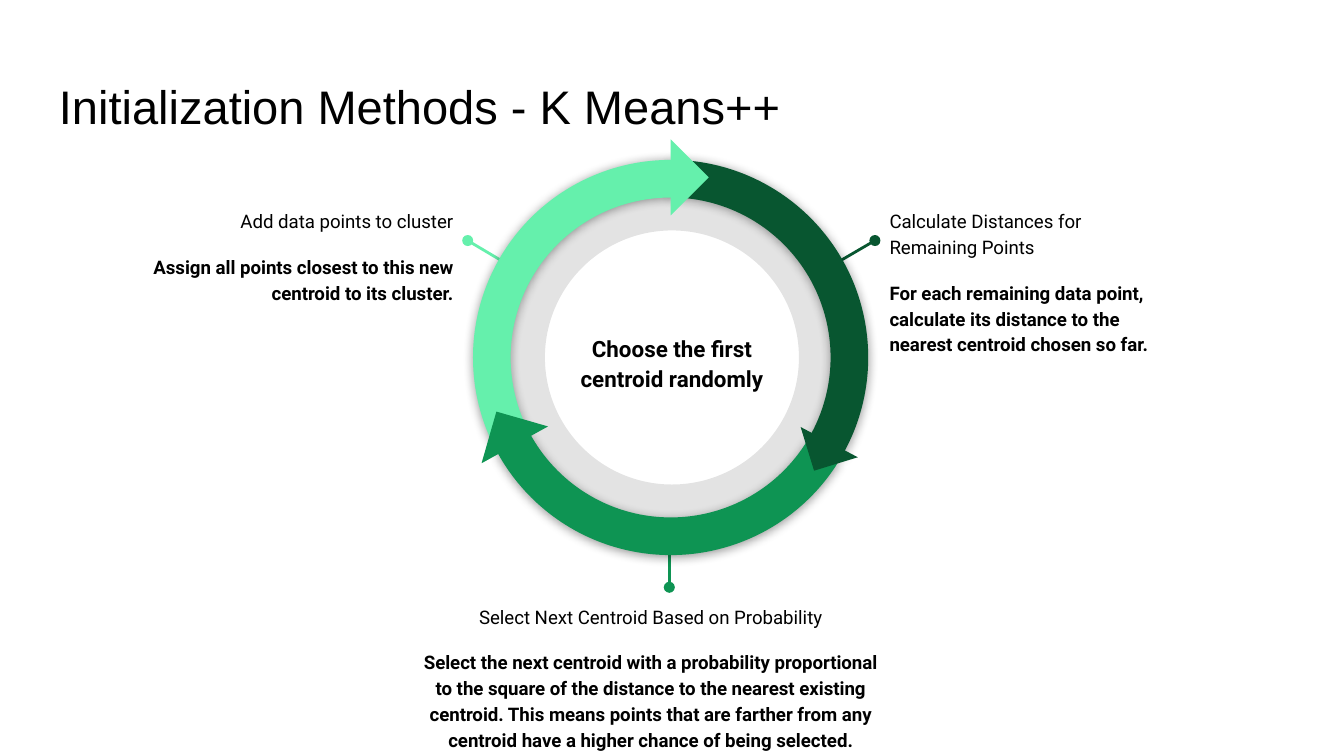
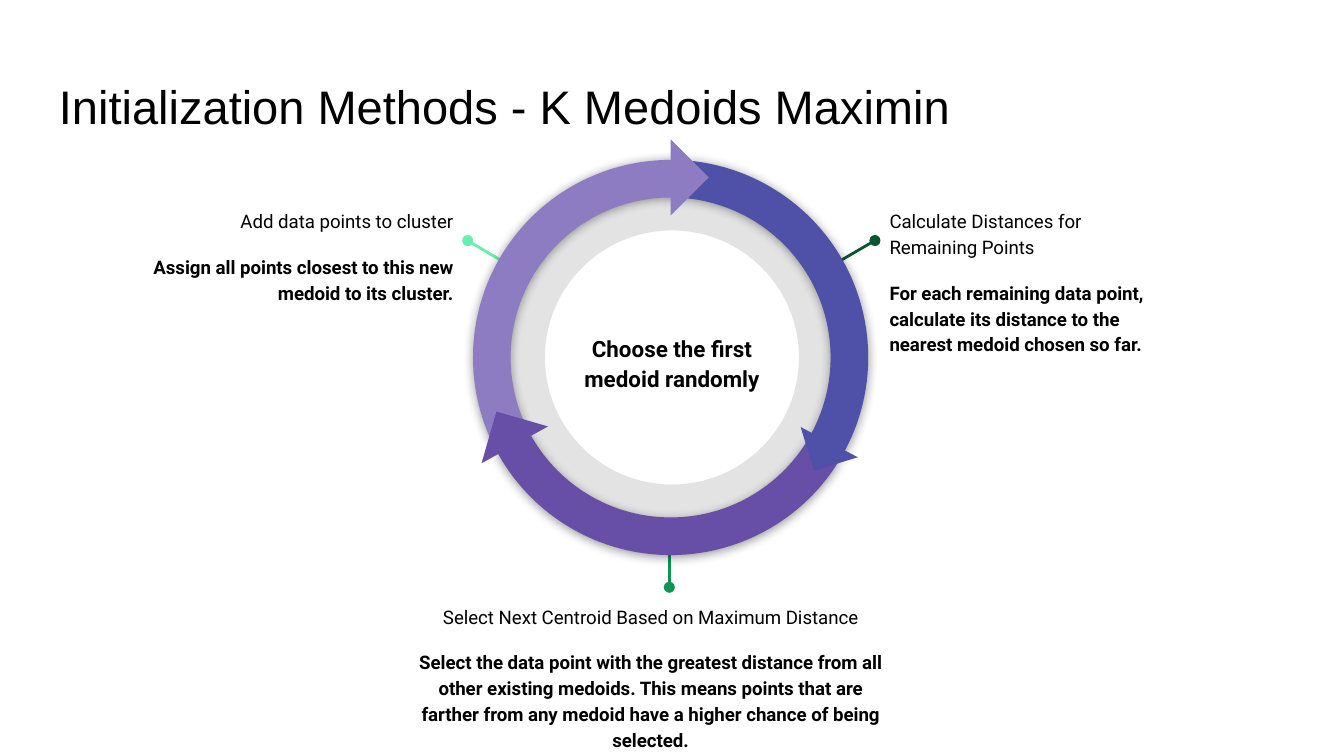
from lxml import etree
from pptx import Presentation
from pptx.dml.color import RGBColor
from pptx.enum.shapes import MSO_CONNECTOR, MSO_SHAPE
from pptx.enum.text import MSO_ANCHOR, PP_ALIGN
from pptx.oxml import parse_xml
from pptx.oxml.ns import nsdecls, qn
from pptx.util import Pt

PX = 9144  # 100 px to the inch

COLORS = {
    "text": "000000",
    "dark_green": "085630", "mid_green": "0E9453", "light_green": "65F0AC",
    "blue": "4E51A7", "purple": "674EA7", "lilac": "8E7CC3",
}
BAND, RING = 28, 294
SHADOW = (f'<a:outerShdw {nsdecls("a")} blurRad="71120" dist="10160" dir="5400000" '
          'algn="bl" rotWithShape="0"><a:srgbClr val="000000">'
          '<a:alpha val="40000"/></a:srgbClr></a:outerShdw>')

# Callouts: line start, line end, line colour, text box, alignment
CALLOUTS = [
    ((348, 179), (395, 207), "light_green", (98, 144, 249, 73), PP_ALIGN.RIGHT),
    ((651, 179), (603, 207), "dark_green", (652, 144, 212, 73), PP_ALIGN.LEFT),
    ((498, 437), (498, 387), "mid_green", (298, 438, 372, 73), PP_ALIGN.CENTER),
]

# Ring parts from back to front: step, preset, box, rotation, flipped, arc angles
RING_BOX = (352, 119, RING, RING)
RING_PARTS = [
    (1, MSO_SHAPE.BLOCK_ARC, RING_BOX, 30, False, (144.14, 0.01)),
    (0, MSO_SHAPE.BLOCK_ARC, RING_BOX, 330, True, (143.49, 214.73)),
    (0, MSO_SHAPE.RIGHT_TRIANGLE, (479, 112, 40, 40), 225, False, ()),
    (2, MSO_SHAPE.BLOCK_ARC, RING_BOX, 210, True, (143.16, 215.03)),
    (1, MSO_SHAPE.RIGHT_TRIANGLE, (600, 312, 34, 34), 342.9, False, ()),
    (2, MSO_SHAPE.RIGHT_TRIANGLE, (363, 311, 40, 40), 106, False, ()),
]

# Steps run in the order of CALLOUTS
SLIDES = [
    {
        "title": "Initialization Methods - K Means++",
        "start": "Choose the first centroid randomly",
        "ring": ["light_green", "dark_green", "mid_green"],
        "steps": [
            ("Add data points to cluster",
             "Assign all points closest to this new centroid to its cluster."),
            ("Calculate Distances for Remaining Points",
             "For each remaining data point, calculate its distance to the nearest "
             "centroid chosen so far."),
            ("Select Next Centroid Based on Probability",
             "Select the next centroid with a probability proportional to the square of "
             "the distance to the nearest existing centroid. This means points that are "
             "farther from any centroid have a higher chance of being selected."),
        ],
    },
    {
        "title": "Initialization Methods - K Medoids Maximin",
        "start": "Choose the first medoid randomly",
        "ring": ["lilac", "blue", "purple"],
        "steps": [
            ("Add data points to cluster",
             "Assign all points closest to this new medoid to its cluster."),
            ("Calculate Distances for Remaining Points",
             "For each remaining data point, calculate its distance to the nearest "
             "medoid chosen so far."),
            ("Select Next Centroid Based on Maximum Distance",
             "Select the data point with the greatest distance from all other existing "
             "medoids. This means points that are farther from any medoid have a higher "
             "chance of being selected."),
        ],
    },
]


def add_text(shapes, box, lines, size, font="Roboto", align=PP_ALIGN.LEFT,
             spacing=1.15, anchor=MSO_ANCHOR.TOP):
    """Add a text box; lines are (text, bold) pairs, one paragraph each."""
    frame = shapes.add_textbox(*(v * PX for v in box)).text_frame
    frame.word_wrap = True
    frame.vertical_anchor = anchor
    frame.margin_left = frame.margin_right = 10 * PX
    frame.margin_top = frame.margin_bottom = 10 * PX
    frame.text = "\n".join(text for text, bold in lines)
    for i, (paragraph, (text, bold)) in enumerate(zip(frame.paragraphs, lines)):
        paragraph.alignment = align
        paragraph.line_spacing = spacing
        paragraph.space_before = Pt(10.7 if i else 0)
        style = paragraph.runs[0].font
        style.name, style.size, style.bold = font, Pt(size), bold
        style.color.rgb = RGBColor.from_string(COLORS["text"])


def add_solid(shapes, preset, box, color):
    """Add a filled preset shape with no outline and no shadow."""
    solid = shapes.add_shape(preset, *(v * PX for v in box))
    solid.shadow.inherit = False
    solid.fill.solid()
    solid.fill.fore_color.rgb = RGBColor.from_string(COLORS[color])
    solid.line.fill.background()
    return solid


prs = Presentation()
prs.slide_width = 1000 * PX
prs.slide_height = prs.slide_width * 9 // 16

for content in SLIDES:
    shapes = prs.slides.add_slide(prs.slide_layouts[6]).shapes

    # Title
    add_text(shapes, (34, 48, 932, 63), [(content["title"], False)], 25.2,
             font="Arial", spacing=1.0)

    # Translucent inner ring
    inner_ring = add_solid(shapes, MSO_SHAPE.DONUT, (361, 127, 278, 278), "text")
    inner_ring.adjustments[0] = 0.16
    tint = inner_ring.fill._xPr.find(".//" + qn("a:srgbClr"))
    etree.SubElement(tint, qn("a:alpha"), val="11000")

    # Callouts: pointer line and text, grouped
    for (start, end, color, box, align), (heading, detail) in zip(CALLOUTS, content["steps"]):
        callout = shapes.add_group_shape().shapes
        pointer = callout.add_connector(MSO_CONNECTOR.STRAIGHT,
                                        *(v * PX for v in start + end))
        pointer.line.color.rgb = RGBColor.from_string(COLORS[color])
        pointer.line.width = Pt(1.5)
        etree.SubElement(pointer.line._get_or_add_ln(), qn("a:headEnd"), type="oval")
        etree.SubElement(pointer._element.spPr, qn("a:effectLst"))
        add_text(callout, box, [(heading, False), (detail, True)], 10, align=align)

    # First step in the centre
    add_text(shapes, (421, 225, 158, 88), [(content["start"], True)], 12,
             align=PP_ALIGN.CENTER, anchor=MSO_ANCHOR.MIDDLE)

    # Ring of arrows
    for step, preset, box, rotation, flipped, angles in RING_PARTS:
        part = add_solid(shapes, preset, box, content["ring"][step])
        part.rotation = rotation
        if flipped:
            part._element.spPr.xfrm.set("flipH", "1")
        if angles:
            for i, value in enumerate(angles + (BAND / RING,)):
                part.adjustments[i] = value
            part._element.spPr.find(qn("a:effectLst")).append(parse_xml(SHADOW))

prs.save("out.pptx")
